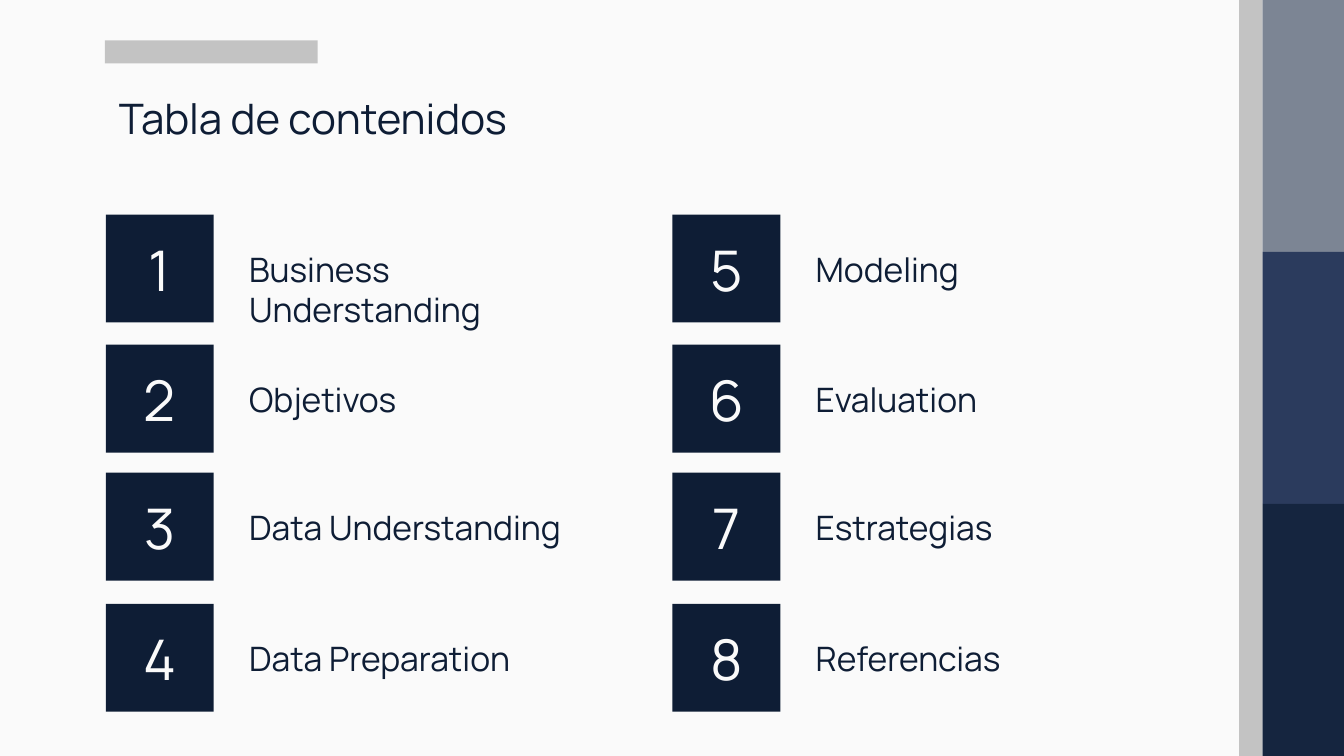
import pptx
import pptx.util
import pptx.dml.color
import pptx.enum.shapes
import pptx.enum.text

Inches = pptx.util.Inches
ANCHOR = pptx.enum.text.MSO_ANCHOR
ALIGN = pptx.enum.text.PP_ALIGN

TITLE = "Tabla de contenidos"
SECTION_COLUMNS = [
    ["Business Understanding", "Objetivos", "Data Understanding", "Data Preparation"],
    ["Modeling", "Evaluation", "Estrategias", "Referencias"],
]
COLORS = {
    "paper": "FAFAFA",
    "navy": "0E1D35",
    "silver": "C3C3C3",
    "band_top": "7C8594",
    "band_middle": "2B3B5D",
    "band_bottom": "15253F",
}
FONT = "Manrope"
COLUMN_LEFTS = [1.05, 6.67]
ROW_TOPS = [2.13, 3.42, 4.69, 5.99]
SQUARE = 1.07
LABEL_OFFSET = (1.29, 0.21)
LABEL_SIZE = (3.69, 0.64)
BAND_LEFT, BAND_WIDTH, BAND_HEIGHT = 12.52, 0.82, 2.5
STRIPE_WIDTH = 0.23


def rgb(color):
    return pptx.dml.color.RGBColor.from_string(COLORS[color])


def add_block(slide, left, top, width, height, color):
    block = slide.shapes.add_shape(
        pptx.enum.shapes.MSO_SHAPE.RECTANGLE,
        Inches(left), Inches(top), Inches(width), Inches(height))
    block.shadow.inherit = False
    block.fill.solid()
    block.fill.fore_color.rgb = rgb(color)
    block.line.fill.background()
    return block


def write(holder, text, size, color, align=ALIGN.LEFT, anchor=ANCHOR.TOP):
    frame = holder.text_frame
    frame.word_wrap = True
    frame.auto_size = pptx.enum.text.MSO_AUTO_SIZE.NONE
    frame.vertical_anchor = anchor
    frame.margin_left = frame.margin_right = Inches(0.13)
    frame.margin_top = frame.margin_bottom = Inches(0.13)
    paragraph = frame.paragraphs[0]
    paragraph.alignment = align
    run = paragraph.add_run()
    run.text = text
    run.font.name = FONT
    run.font.size = pptx.util.Pt(size)
    run.font.color.rgb = rgb(color)


def add_side_bands(slide):
    for index, color in enumerate(["band_top", "band_middle", "band_bottom"]):
        add_block(slide, BAND_LEFT, index * BAND_HEIGHT, BAND_WIDTH, BAND_HEIGHT, color)
    add_block(slide, BAND_LEFT - STRIPE_WIDTH, 0, STRIPE_WIDTH, 7.5, "silver")


def add_heading(slide):
    add_block(slide, 1.04, 0.4, 2.11, 0.23, "silver")
    title = slide.shapes.title
    title.left, title.top = Inches(1.05), Inches(0.79)
    title.width, title.height = Inches(11.23), Inches(0.84)
    write(title, TITLE, 30, "navy")


def add_section(slide, number, name, left, top):
    square = add_block(slide, left, top, SQUARE, SQUARE, "navy")
    write(square, str(number), 40, "paper", ALIGN.CENTER, ANCHOR.MIDDLE)
    label = slide.shapes.add_textbox(
        Inches(left + LABEL_OFFSET[0]), Inches(top + LABEL_OFFSET[1]),
        *map(Inches, LABEL_SIZE))
    write(label, name, 24, "navy")


def main():
    deck = pptx.Presentation()
    deck.slide_width, deck.slide_height = Inches(13.33), Inches(7.5)
    slide = deck.slides.add_slide(deck.slide_layouts.get_by_name("Title Only"))
    slide.background.fill.solid()
    slide.background.fill.fore_color.rgb = rgb("paper")
    add_side_bands(slide)
    add_heading(slide)
    number = 0
    for left, names in zip(COLUMN_LEFTS, SECTION_COLUMNS):
        for top, name in zip(ROW_TOPS, names):
            number += 1
            add_section(slide, number, name, left, top)
    deck.save("out.pptx")


if __name__ == "__main__":
    main()
